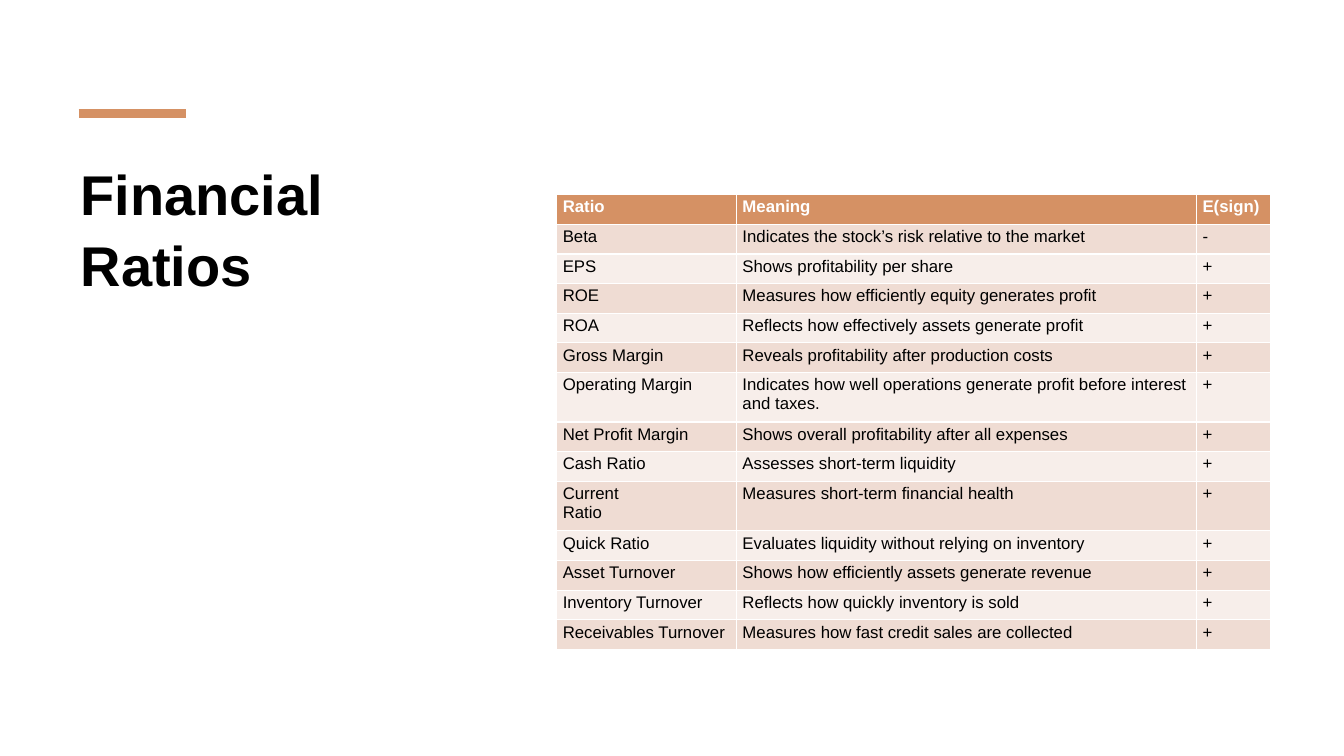
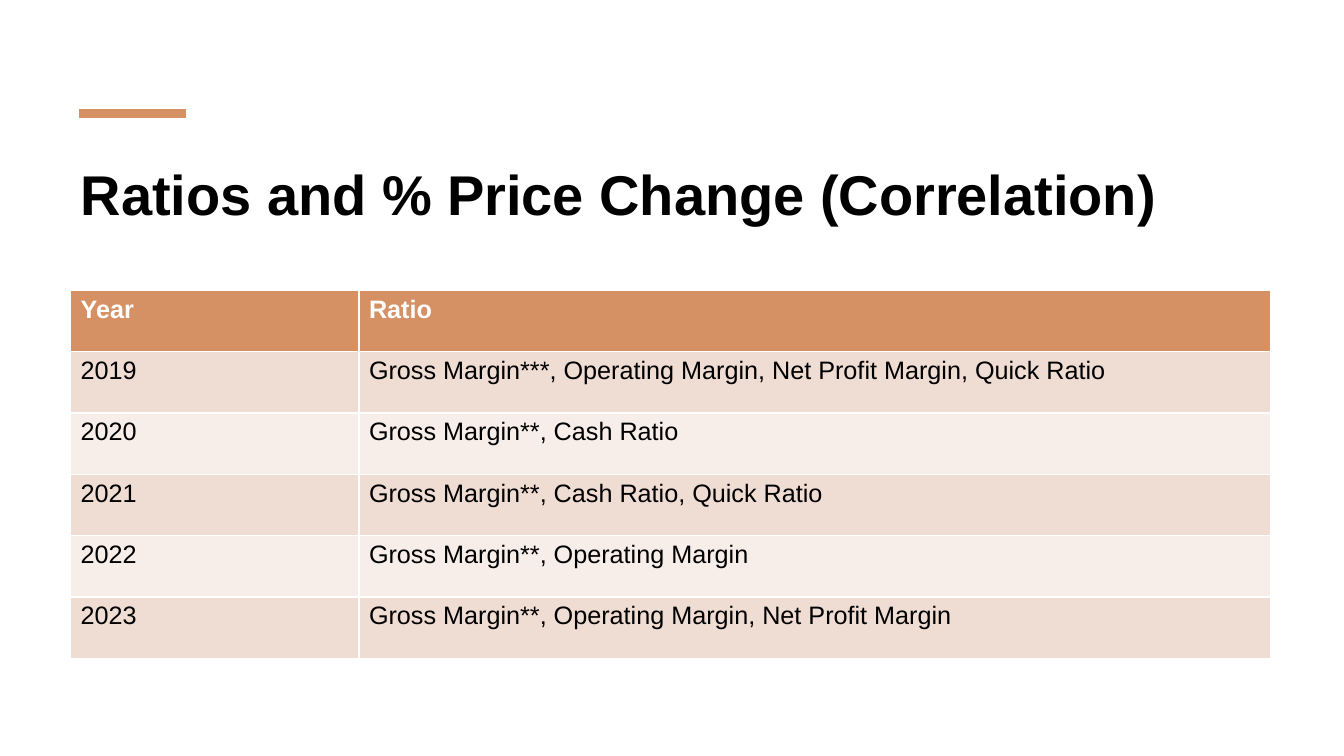
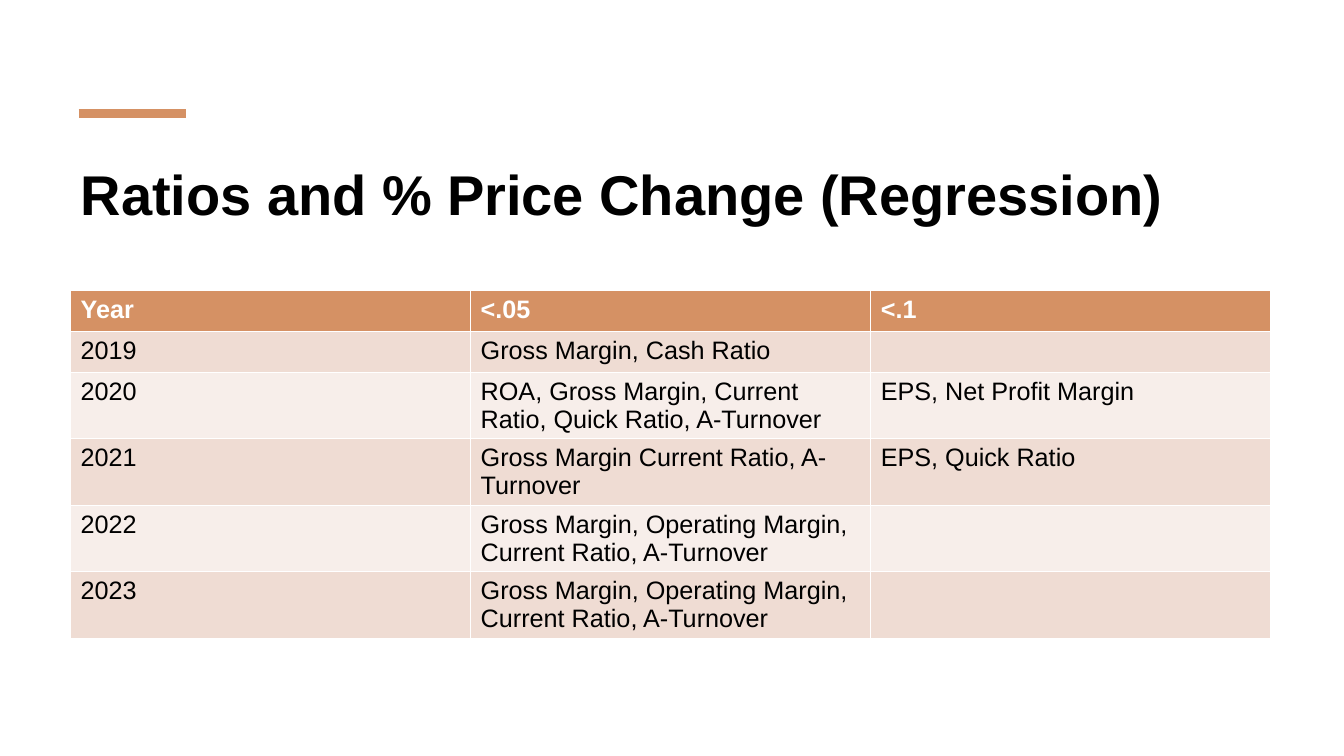
from pptx import Presentation
from pptx.dml.color import RGBColor
from pptx.enum.shapes import MSO_CONNECTOR
from pptx.enum.text import MSO_ANCHOR, MSO_AUTO_SIZE, PP_ALIGN
from pptx.oxml.ns import qn
from pptx.util import Pt
from lxml.etree import SubElement

COLORS = {
    "accent": "D59164",
    "band_dark": "EFDCD3",
    "band_light": "F7EEEA",
    "header_text": "FFFFFF",
    "text": "000000",
}
FONT = "Arial"
LEFT, TITLE_TOP, CONTENT_WIDTH = 50.4, 108, 857.4
TABLE_TOP = 207.4
BAR_LEFT, BAR_RIGHT, BAR_Y, BAR_WEIGHT = 56.2, 133.2, 81.2, 6

SLIDES = [
    {
        "title": "Financial Ratios",
        "title_size": (289.4, 309),
        "table_at": (397.6, 139),
        "columns": [128.4, 328.6, 53.2],
        "row_heights": [21.2] * 6 + [35.4] + [21.2] * 2 + [35.4] + [21.2] * 4,
        "font_size": 12,
        "margins": (4.4, 2.2),
        "rows": [
            ("Ratio", "Meaning", "E(sign)"),
            ("Beta", "Indicates the stock’s risk relative to the market", "-"),
            ("EPS", "Shows profitability per share", "+"),
            ("ROE", "Measures how efficiently equity generates profit", "+"),
            ("ROA", "Reflects how effectively assets generate profit", "+"),
            ("Gross Margin", "Reveals profitability after production costs", "+"),
            ("Operating Margin", "Indicates how well operations generate profit before interest and taxes.", "+"),
            ("Net Profit Margin", "Shows overall profitability after all expenses", "+"),
            ("Cash Ratio", "Assesses short-term liquidity", "+"),
            ("Current\nRatio", "Measures short-term financial health", "+"),
            ("Quick Ratio", "Evaluates liquidity without relying on inventory", "+"),
            ("Asset Turnover", "Shows how efficiently assets generate revenue", "+"),
            ("Inventory Turnover", "Reflects how quickly inventory is sold", "+"),
            ("Receivables Turnover", "Measures how fast credit sales are collected", "+"),
        ],
    },
    {
        "title": "Ratios and % Price Change (Correlation)",
        "title_size": (CONTENT_WIDTH, 86.4),
        "table_at": (LEFT, TABLE_TOP),
        "columns": [206, 651.4],
        "row_heights": [43.8] * 6,
        "font_size": 18,
        "margins": (7.2, 3.6),
        "rows": [
            ("Year", "Ratio"),
            ("2019", "Gross Margin***, Operating Margin, Net Profit Margin, Quick Ratio"),
            ("2020", "Gross Margin**, Cash Ratio"),
            ("2021", "Gross Margin**, Cash Ratio, Quick Ratio"),
            ("2022", "Gross Margin**, Operating Margin"),
            ("2023", "Gross Margin**, Operating Margin, Net Profit Margin"),
        ],
    },
    {
        "title": "Ratios and % Price Change (Regression)",
        "title_size": (CONTENT_WIDTH, 86.4),
        "table_at": (LEFT, TABLE_TOP),
        "columns": [CONTENT_WIDTH / 3] * 3,
        "row_heights": [29.2] * 2 + [47.5] * 4,
        "font_size": 18,
        "margins": (7.2, 3.6),
        "rows": [
            ("Year", "<.05", "<.1"),
            ("2019", "Gross Margin, Cash Ratio", ""),
            ("2020", "ROA, Gross Margin, Current Ratio, Quick Ratio, A-Turnover", "EPS, Net Profit Margin"),
            ("2021", "Gross Margin Current Ratio, A-Turnover", "EPS, Quick Ratio"),
            ("2022", "Gross Margin, Operating Margin, Current Ratio, A-Turnover", ""),
            ("2023", "Gross Margin, Operating Margin, Current Ratio, A-Turnover", ""),
        ],
    },
]


def color(name):
    return RGBColor.from_string(COLORS[name])


def style_paragraphs(text_frame, size, color_name, bold):
    for paragraph in text_frame.paragraphs:
        paragraph.alignment = PP_ALIGN.LEFT
        font = paragraph.font
        font.name, font.size, font.bold = FONT, Pt(size), bold
        font.color.rgb = color(color_name)


def add_accent_bar(slide):
    bar = slide.shapes.add_connector(
        MSO_CONNECTOR.STRAIGHT, Pt(BAR_LEFT), Pt(BAR_Y), Pt(BAR_RIGHT), Pt(BAR_Y))
    bar.line.color.rgb = color("accent")
    bar.line.width = Pt(BAR_WEIGHT)
    SubElement(bar.element.spPr, qn("a:effectLst"))


def set_title(slide, text, size):
    title = slide.shapes.title
    title.left, title.top = Pt(LEFT), Pt(TITLE_TOP)
    title.width, title.height = (Pt(length) for length in size)
    frame = title.text_frame
    frame.text = text
    frame.word_wrap = True
    frame.auto_size = MSO_AUTO_SIZE.NONE
    frame.vertical_anchor = MSO_ANCHOR.TOP
    frame.paragraphs[0].line_spacing = 1.05
    style_paragraphs(frame, 40, "text", True)


def add_ratio_table(slide, content):
    rows, columns, heights = content["rows"], content["columns"], content["row_heights"]
    left, top = content["table_at"]
    table = slide.shapes.add_table(
        len(rows), len(columns), Pt(left), Pt(top), Pt(sum(columns)), Pt(sum(heights))).table
    for column, width in zip(table.columns, columns):
        column.width = Pt(width)
    side, edge = (Pt(margin) for margin in content["margins"])
    for index, (row, height, texts) in enumerate(zip(table.rows, heights, rows)):
        row.height = Pt(height)
        header = index == 0
        fill = "accent" if header else "band_dark" if index % 2 else "band_light"
        for cell, text in zip(row.cells, texts):
            cell.text = text
            cell.margin_left = cell.margin_right = side
            cell.margin_top = cell.margin_bottom = edge
            cell.fill.solid()
            cell.fill.fore_color.rgb = color(fill)
            style_paragraphs(cell.text_frame, content["font_size"],
                             "header_text" if header else "text", header)


def main():
    presentation = Presentation()
    presentation.slide_width, presentation.slide_height = Pt(960), Pt(540)
    title_only = presentation.slide_layouts[5]
    for content in SLIDES:
        slide = presentation.slides.add_slide(title_only)
        add_accent_bar(slide)
        set_title(slide, content["title"], content["title_size"])
        add_ratio_table(slide, content)
    presentation.save("out.pptx")


if __name__ == "__main__":
    main()
